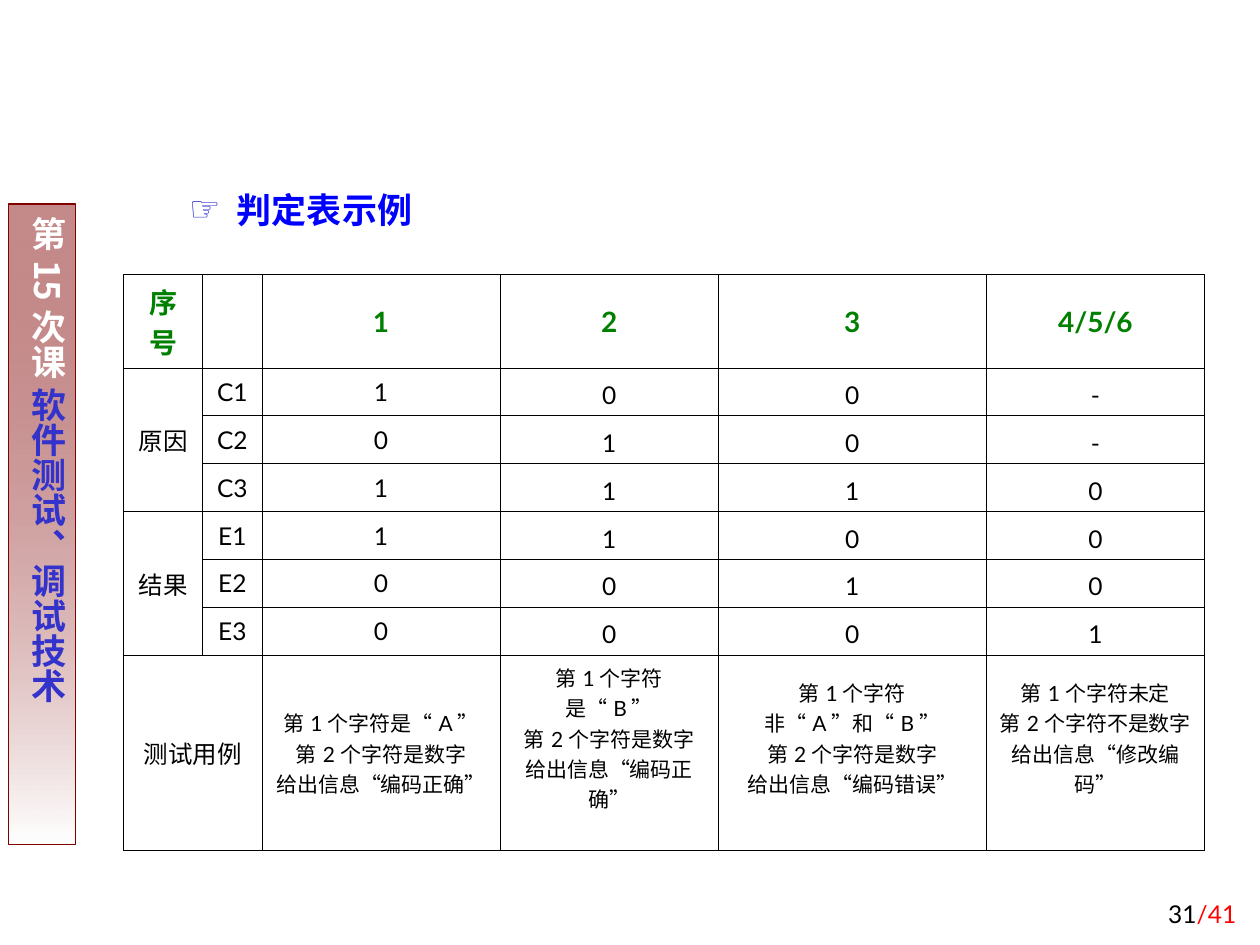
from lxml import etree
from pptx import Presentation
from pptx.dml.color import RGBColor
from pptx.enum.shapes import MSO_SHAPE
from pptx.enum.text import MSO_ANCHOR, PP_ALIGN
from pptx.oxml.ns import qn
from pptx.util import Inches, Pt

CENTER, RIGHT = PP_ALIGN.CENTER, PP_ALIGN.RIGHT
MIDDLE, BOTTOM = MSO_ANCHOR.MIDDLE, MSO_ANCHOR.BOTTOM
RECTANGLE = MSO_SHAPE.RECTANGLE

WHITE = RGBColor(0xFF, 0xFF, 0xFF)
BLACK = RGBColor(0, 0, 0)
MAROON = RGBColor(0x80, 0, 0)
INDIGO = RGBColor(0x33, 0x33, 0xCC)
BLUE = RGBColor(0, 0, 0xFF)
GREEN = RGBColor(0, 0x80, 0)
RED = RGBColor(0xFF, 0, 0)
LATIN, CJK, SERIF = "Lato", "Noto Sans CJK SC", "Times New Roman"

HEADING = "判定表示例"
LESSON = [("第15次课 ", WHITE), ("软件测试、调试技术", INDIGO)]
PAGE = [("31", BLACK), ("/41", RED)]
DECISIONS = [
    ["序号", "", "1", "2", "3", "4/5/6"],
    ["原因", "C1", "1", "0", "0", "-"],
    ["", "C2", "0", "1", "0", "-"],
    ["", "C3", "1", "1", "1", "0"],
    ["结果", "E1", "1", "1", "0", "0"],
    ["", "E2", "0", "0", "1", "0"],
    ["", "E3", "0", "0", "0", "1"],
    ["测试用例", "",
     "第1个字符是“A”\n第2个字符是数字\n给出信息“编码正确”",
     "第1个字符是“B”\n第2个字符是数字\n给出信息“编码正确”",
     "第1个字符非“A”和“B”\n第2个字符是数字\n给出信息“编码错误”",
     "第1个字符未定\n第2个字符不是数字\n给出信息“修改编码”"],
]
MERGES = [((1, 0), (3, 0)), ((4, 0), (6, 0)), ((7, 0), (7, 1))]
COLUMN_WIDTHS = [0.63, 0.47, 1.89, 1.73, 2.13, 1.73]
ROW_HEIGHTS = [0.74] + [0.38] * 6 + [1.55]
LAST_ROW = len(DECISIONS) - 1


def style(font, size, color, name, bold=False):
    """Set the look of a font."""
    font.size, font.name, font.bold = Pt(size), name, bold
    font.color.rgb = color


def add_runs(paragraph, parts, size, name, bold=False):
    """Add coloured runs that share size and typeface."""
    for text, color in parts:
        run = paragraph.add_run()
        run.text = text
        style(run.font, size, color, name, bold)


def add_borders(cell):
    """Draw a thin black line on each side of a cell."""
    properties = cell._tc.get_or_add_tcPr()
    for index, side in enumerate(("lnL", "lnR", "lnT", "lnB")):
        line = etree.Element(qn(f"a:{side}"), w=str(Pt(0.45)))
        solid = etree.SubElement(line, qn("a:solidFill"))
        etree.SubElement(solid, qn("a:srgbClr"), val=str(BLACK))
        properties.insert(index, line)


def add_sidebar(slide):
    """Add the vertical lesson banner."""
    banner = slide.shapes.add_shape(
        RECTANGLE, Inches(0.07), Inches(1.62), Inches(0.53), Inches(5.08))
    banner.shadow.inherit = False
    banner.fill.gradient()
    banner.fill.gradient_angle = 270
    for stop, color, position in zip(banner.fill.gradient_stops, (MAROON, WHITE), (0, 1)):
        stop.color.rgb, stop.position = color, position
    first_color = next(banner._element.spPr.iter(qn("a:srgbClr")))
    etree.SubElement(first_color, qn("a:alpha"), val="46000")
    banner.line.color.rgb, banner.line.width = MAROON, Pt(0.75)
    frame = banner.text_frame
    frame._txBody.bodyPr.set("vert", "eaVert")
    frame.vertical_anchor = MSO_ANCHOR.TOP
    frame.margin_left = frame.margin_right = Inches(0.05)
    frame.margin_top = frame.margin_bottom = Inches(0.1)
    frame.paragraphs[0].alignment = CENTER
    add_runs(frame.paragraphs[0], LESSON, 20, CJK, True)


def add_heading(slide):
    """Fill the body placeholder with the bulleted heading."""
    body = slide.placeholders[1]
    body.left, body.top, body.width, body.height = map(Inches, (1.4, 1.38, 7.62, 0.56))
    paragraph = body.text_frame.paragraphs[0]
    paragraph.text = HEADING
    paragraph.line_spacing, paragraph.space_before = 1.2, Pt(0)
    properties = paragraph._p.get_or_add_pPr()
    properties.set("marL", str(Inches(0.38)))
    properties.set("indent", str(-Inches(0.38)))
    bullet_color = etree.SubElement(properties, qn("a:buClr"))
    etree.SubElement(bullet_color, qn("a:srgbClr"), val=str(INDIGO))
    etree.SubElement(properties, qn("a:buChar"), char="☞")
    style(paragraph.font, 20, BLUE, SERIF, True)


def add_decision_table(slide):
    """Add the decision table."""
    table = slide.shapes.add_table(
        len(ROW_HEIGHTS), len(COLUMN_WIDTHS), Inches(0.98), Inches(2.18),
        Inches(sum(COLUMN_WIDTHS)), Inches(sum(ROW_HEIGHTS))).table
    table.first_row = table.horz_banding = False
    for column, width in zip(table.columns, COLUMN_WIDTHS):
        column.width = Inches(width)
    for row, height in zip(table.rows, ROW_HEIGHTS):
        row.height = Inches(height)
    for r, entries in enumerate(DECISIONS):
        for c, entry in enumerate(entries):
            cell = table.cell(r, c)
            cell.text = entry
            cell.vertical_anchor = MIDDLE
            cell.fill.solid()
            cell.fill.fore_color.rgb = WHITE
            add_borders(cell)
            is_test_case = r == LAST_ROW and c >= 2
            if is_test_case and c > 2:
                cell.margin_bottom = Inches(0.29)
            size = 16 if r == 0 else 12 if is_test_case else 14
            for paragraph in cell.text_frame.paragraphs:
                paragraph.alignment = CENTER
                if 0 < r < LAST_ROW and c > 2:
                    paragraph.line_spacing = 1.2
                style(paragraph.font, size, BLACK if r else GREEN, LATIN, r == 0)
    for start, end in MERGES:
        table.cell(*start).merge(table.cell(*end))


def add_page_number(slide):
    """Add the page count at the bottom right."""
    frame = slide.shapes.add_textbox(
        Inches(7.83), Inches(6.92), Inches(2.08), Inches(0.5)).text_frame
    frame.word_wrap, frame.vertical_anchor = True, BOTTOM
    frame.paragraphs[0].alignment = RIGHT
    add_runs(frame.paragraphs[0], PAGE, 14, LATIN)


def main():
    """Build the slide and save it."""
    deck = Presentation()
    deck.slide_width, deck.slide_height = Inches(10), Inches(7.5)
    slide = deck.slides.add_slide(deck.slide_layouts[1])
    title = slide.shapes.title._element
    title.getparent().remove(title)
    add_sidebar(slide)
    add_page_number(slide)
    add_heading(slide)
    add_decision_table(slide)
    deck.save("out.pptx")


if __name__ == "__main__":
    main()
